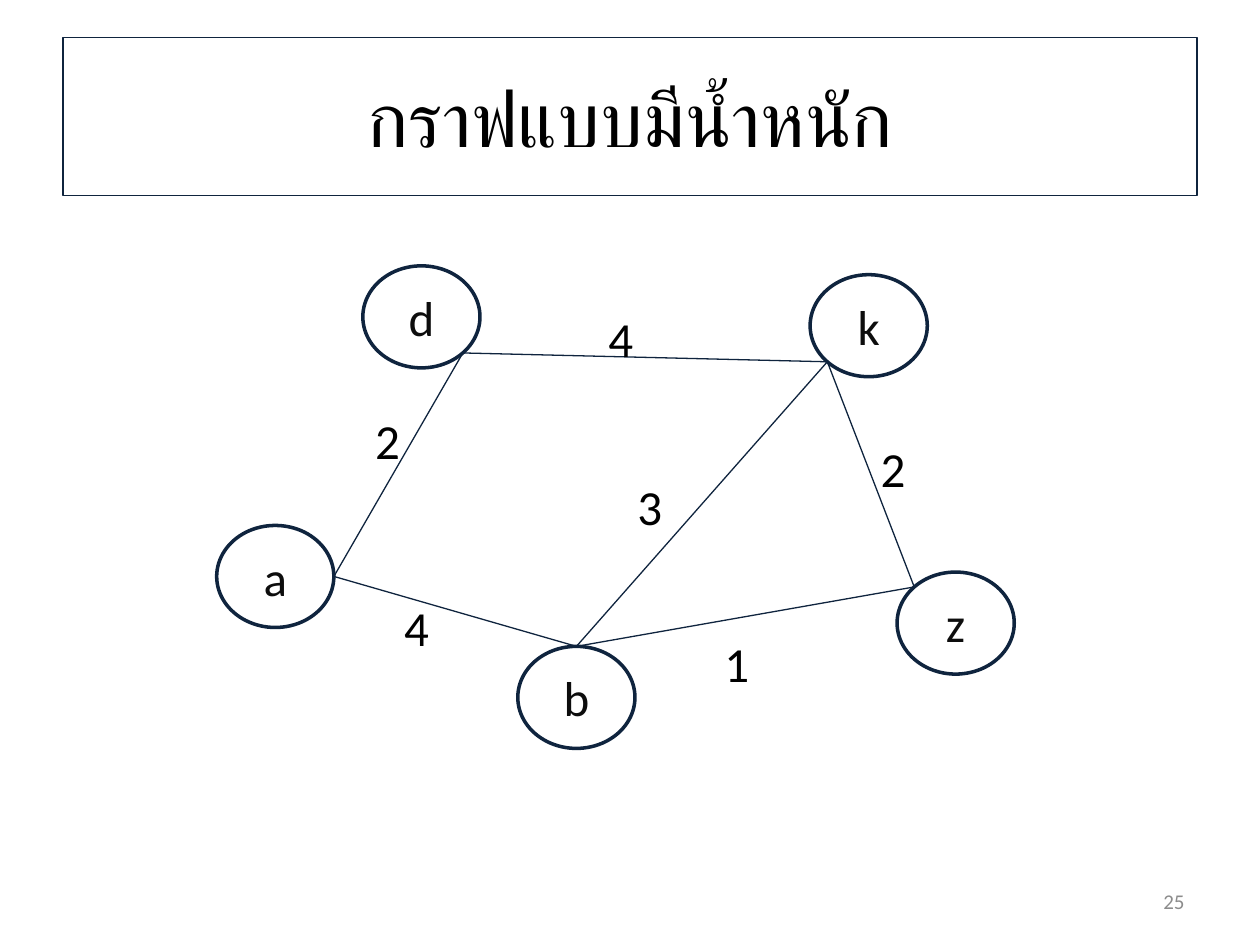
import math

from lxml import etree
from pptx import Presentation
from pptx import util as u
from pptx.dml.color import RGBColor
from pptx.enum import shapes, text
from pptx.oxml.ns import qn

NAVY = RGBColor(0x0F, 0x24, 0x3E)
BLACK = RGBColor(0, 0, 0)
INK = RGBColor(0x0D, 0x0D, 0x0D)
GREY = RGBColor(0x8C, 0x8C, 0x8C)
ALIGN = text.PP_ALIGN
MIDDLE = text.MSO_ANCHOR.MIDDLE

# Lengths are columns and rows of a 100 x 75 grid.
COLUMNS, ROWS = 100, 75
NODE_WIDTH, NODE_HEIGHT = 9.3, 8.1
LABEL_SIZE = 5.4

# Node name: left, top, and the angle (clockwise from the right) where edges meet it
NODES = {
    "a": (17.2, 41.7, 0),
    "b": (41.1, 51.3, 270),
    "d": (28.8, 21.1, 45),
    "z": (71.2, 45.4, 225),
    "k": (64.3, 21.8, 135),
}
# Start, end, weight, and the left and top of the weight label
EDGES = [
    ("d", "a", "2", 28.8, 32.1),
    ("a", "b", "4", 31.1, 46.9),
    ("d", "k", "4", 47.3, 24.0),
    ("k", "z", "2", 68.9, 34.3),
    ("z", "b", "1", 56.5, 49.8),
    ("k", "b", "3", 49.6, 37.3),
]


def write(shape, words, *, size, color, align=ALIGN.LEFT, anchor=text.MSO_ANCHOR.TOP):
    frame = shape.text_frame
    frame.word_wrap = True
    frame.vertical_anchor = anchor
    para = frame.paragraphs[0]
    para.alignment = align
    span = para.add_run()
    span.text = words
    span.font.name = "Calibri"
    span.font.size = u.Pt(size)
    span.font.color.rgb = color


def meeting_point(name):
    """Point on the node's outline where its edges meet."""
    left, top, angle = NODES[name]
    turn = math.radians(angle)
    return (left + NODE_WIDTH / 2 * (1 + math.cos(turn)),
            top + NODE_HEIGHT / 2 * (1 + math.sin(turn)))


class GraphPage:
    def __init__(self, deck):
        self.cell_width = deck.slide_width / COLUMNS
        self.cell_height = deck.slide_height / ROWS
        self.page = deck.slides.add_slide(deck.slide_layouts[5])
        self.graph = self.page.shapes.add_group_shape()

    def place(self, *lengths):
        """Turn alternating columns and rows into slide units."""
        cells = (self.cell_width, self.cell_height)
        return [u.Emu(round(n * cells[i % 2])) for i, n in enumerate(lengths)]

    def outline(self, shape, width):
        shape.line.color.rgb = NAVY
        shape.line.width = u.Pt(width)

    def title(self, words):
        box = self.page.shapes.title
        box.left, box.top, box.width, box.height = self.place(5, 3, 90, 12.5)
        self.outline(box, 0.75)
        write(box, words, size=44, color=BLACK, align=ALIGN.CENTER, anchor=MIDDLE)

    def node(self, name):
        left, top, _ = NODES[name]
        oval = self.graph.shapes.add_shape(
            shapes.MSO_SHAPE.OVAL, *self.place(left, top, NODE_WIDTH, NODE_HEIGHT))
        oval.shadow.inherit = False
        oval.fill.background()
        self.outline(oval, 2)
        write(oval, name, size=28, color=INK, align=ALIGN.CENTER, anchor=MIDDLE)

    def edge(self, start, end):
        line = self.graph.shapes.add_connector(
            shapes.MSO_CONNECTOR.STRAIGHT,
            *self.place(*meeting_point(start), *meeting_point(end)))
        self.outline(line, 0.75)
        etree.SubElement(line._element.spPr, qn("a:effectLst"))

    def weight(self, words, left, top):
        box = self.graph.shapes.add_textbox(
            *self.place(left, top, LABEL_SIZE, LABEL_SIZE))
        write(box, words, size=28, color=BLACK)

    def page_number(self, words):
        box = self.page.shapes.add_textbox(*self.place(71.7, 69.5, 23.3, 4))
        write(box, words, size=12, color=GREY, align=ALIGN.RIGHT, anchor=MIDDLE)


def main():
    deck = Presentation()
    deck.slide_width, deck.slide_height = u.Inches(10), u.Inches(7.5)
    page = GraphPage(deck)
    page.title("กราฟแบบมีน้ำหนัก")
    for name in NODES:
        page.node(name)
    for start, end, *_ in EDGES:
        page.edge(start, end)
    for _, _, *label in EDGES:
        page.weight(*label)
    page.page_number("25")
    deck.save("out.pptx")


if __name__ == "__main__":
    main()
